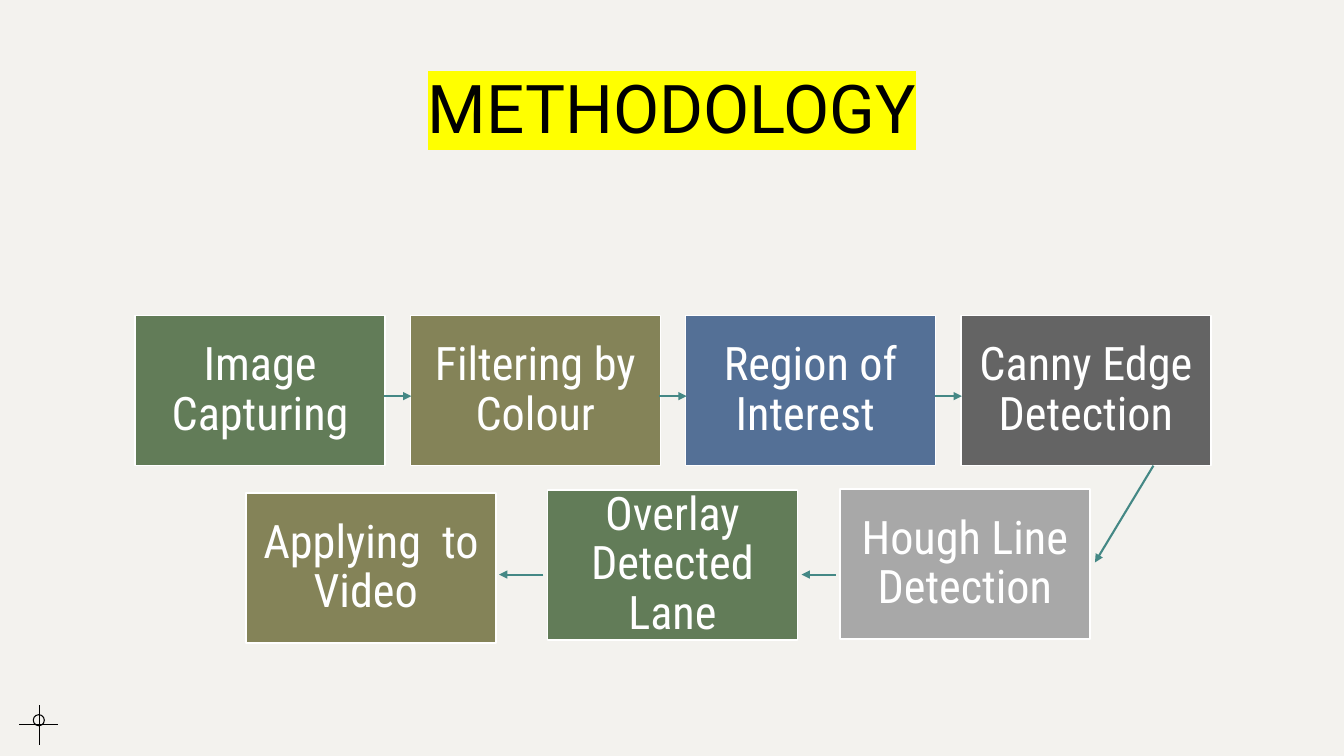
"""Build the methodology slide: seven process steps joined by arrows."""
from dataclasses import dataclass

from lxml.etree import SubElement
from pptx import Presentation
from pptx.dml.color import RGBColor
from pptx.enum.shapes import MSO_CONNECTOR as CONN, MSO_SHAPE as SHAPE
from pptx.enum.text import MSO_ANCHOR as ANCHOR, MSO_AUTO_SIZE as AUTO, PP_ALIGN as ALIGN
from pptx.oxml.ns import qn
from pptx.slide import Slide
from pptx.util import Inches, Pt

COLORS = {
    "paper": "F3F2EE", "ink": "000000", "marker": "FFFF00", "white": "FFFFFF",
    "green": "627C58", "olive": "848358", "blue": "547096",
    "dark": "646464", "light": "A8A8A8", "arrow": "448885",
}
STEP_W, STEP_H = 2.48, 1.49
ROW_LEFT, ROW_TOP, ROW_PITCH = 1.34, 3.13, 2.73


@dataclass
class Step:
    """A coloured box of the process."""
    text: str
    color: str
    left: float
    top: float


@dataclass
class Line:
    """A straight line, with an optional arrowhead at its end."""
    x1: float
    y1: float
    x2: float
    y2: float
    color: str = "arrow"
    width: float = 1.5
    arrow: bool = True


TOP_ROW = [("Image Capturing", "green"), ("Filtering by Colour", "olive"),
           ("Region of Interest ", "blue"), ("Canny Edge Detection", "dark")]
STEPS = [Step(text, color, ROW_LEFT + i * ROW_PITCH, ROW_TOP)
         for i, (text, color) in enumerate(TOP_ROW)] + [
    Step("Hough Line Detection", "light", 8.33, 4.85),
    Step("Overlay Detected Lane", "green", 5.43, 4.86),
    Step("Applying  to Video ", "olive", 2.44, 4.89),
]
ARROWS = [Line(3.81 + i * ROW_PITCH, 3.93, 4.08 + i * ROW_PITCH, 3.93)
          for i in range(len(TOP_ROW) - 1)] + [
    Line(11.44, 4.62, 10.86, 5.58),
    Line(8.29, 5.7, 7.95, 5.7),
    Line(5.39, 5.7, 4.95, 5.7),
]
CROSSHAIR = [Line(0.19, 7.19, 0.58, 7.19, "ink", 0.75, False),
             Line(0.39, 7.39, 0.39, 6.99, "ink", 0.75, False)]


def rgb(name: str) -> RGBColor:
    """Return the named colour."""
    return RGBColor.from_string(COLORS[name])


def add_title(s: Slide, text: str) -> None:
    """Fill the title placeholder with highlighted text."""
    sp = s.shapes.title
    sp.left, sp.top, sp.width, sp.height = map(Inches, (0.75, 0.28, 11.83, 1.23))
    tf = sp.text_frame
    tf.auto_size, tf.vertical_anchor = AUTO.NONE, ANCHOR.BOTTOM
    p = tf.paragraphs[0]
    p.alignment, p.line_spacing = ALIGN.CENTER, 1.2
    r = p.add_run()
    r.text = text
    r.font.size = Pt(48)
    r.font.color.rgb = rgb("ink")
    highlight = SubElement(r.font._element, qn("a:highlight"))
    SubElement(highlight, qn("a:srgbClr"), val=COLORS["marker"])
    r.font.name = "Roboto"


def add_line(s: Slide, line: Line) -> None:
    """Draw a line or an arrow."""
    ends = map(Inches, (line.x1, line.y1, line.x2, line.y2))
    sp = s.shapes.add_connector(CONN.STRAIGHT, *ends)
    sp.line.color.rgb = rgb(line.color)
    sp.line.width = Pt(line.width)
    if line.arrow:
        SubElement(sp.line._get_or_add_ln(), qn("a:tailEnd"), type="triangle")
    SubElement(sp._element.spPr, qn("a:effectLst"))


def add_ring(s: Slide) -> None:
    """Draw the small circle on the crosshair."""
    sp = s.shapes.add_shape(SHAPE.OVAL, *map(Inches, (0.33, 7.09, 0.11, 0.11)))
    sp.shadow.inherit = False
    sp.fill.background()
    sp.line.color.rgb = rgb("ink")
    sp.line.width = Pt(0.75)


def add_step(s: Slide, step: Step) -> None:
    """Draw a process box with its label."""
    sp = s.shapes.add_shape(
        SHAPE.RECTANGLE, *map(Inches, (step.left, step.top, STEP_W, STEP_H)))
    sp.shadow.inherit = False
    sp.fill.solid()
    sp.fill.fore_color.rgb = rgb(step.color)
    sp.line.color.rgb = rgb("white")
    sp.line.width = Pt(1)
    tf = sp.text_frame
    tf.word_wrap, tf.vertical_anchor = True, ANCHOR.MIDDLE
    tf.margin_left = tf.margin_right = tf.margin_top = tf.margin_bottom = Inches(0.14)
    p = tf.paragraphs[0]
    p.alignment, p.line_spacing = ALIGN.CENTER, 0.9
    r = p.add_run()
    r.text = step.text
    r.font.name, r.font.size = "Roboto Condensed", Pt(33)
    r.font.color.rgb = rgb("white")


def main() -> None:
    """Build and save the slide."""
    prs = Presentation()
    prs.slide_width, prs.slide_height = Inches(13.33), Inches(7.5)
    s = prs.slides.add_slide(prs.slide_layouts.get_by_name("Title Only"))
    s.background.fill.solid()
    s.background.fill.fore_color.rgb = rgb("paper")
    add_title(s, "METHODOLOGY")
    for line in CROSSHAIR:
        add_line(s, line)
    add_ring(s)
    for step in STEPS:
        add_step(s, step)
    for arrow in ARROWS:
        add_line(s, arrow)
    prs.save("out.pptx")


if __name__ == "__main__":
    main()
